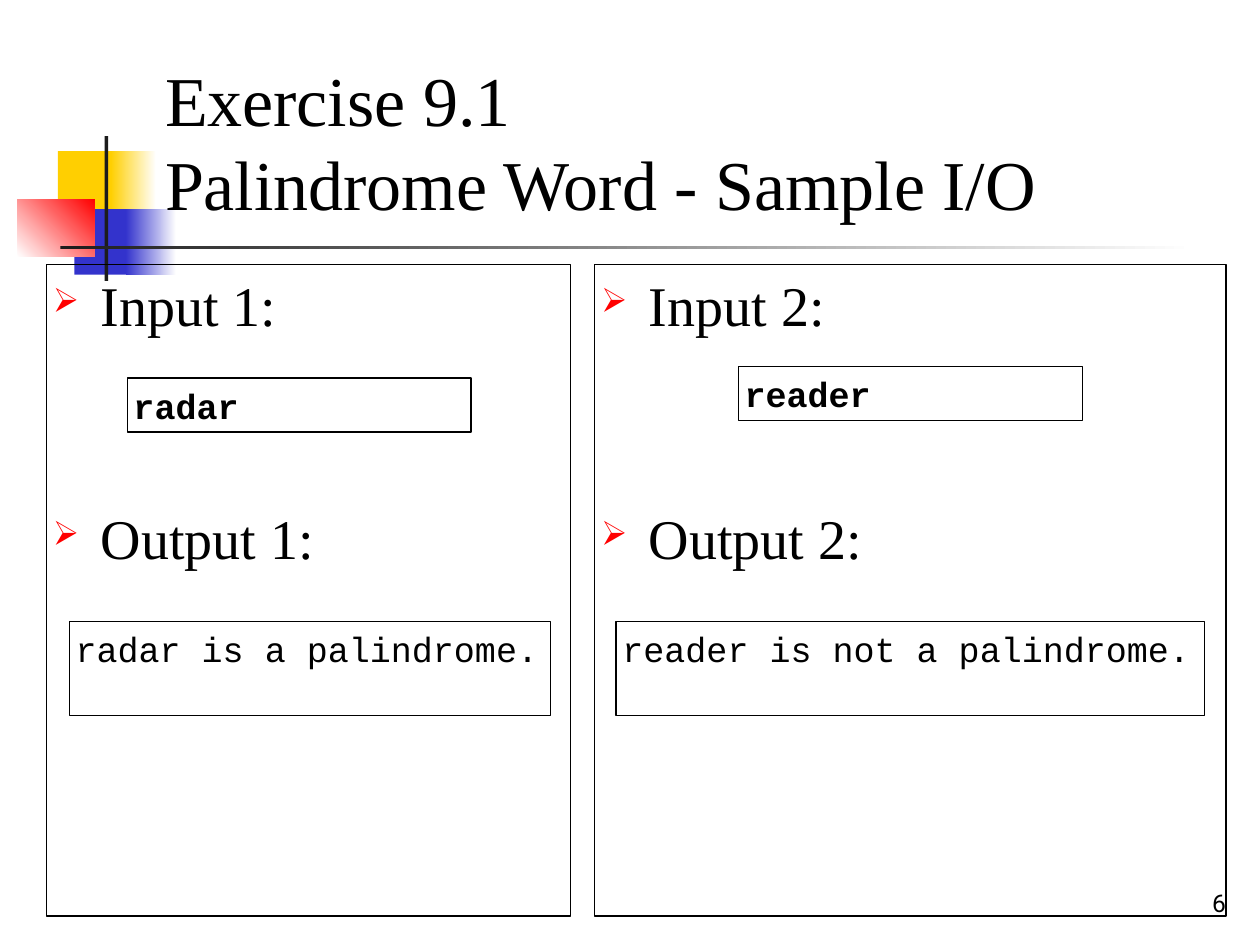
from copy import deepcopy
from dataclasses import dataclass

from lxml.etree import SubElement
from pptx import Presentation
from pptx.dml.color import RGBColor
from pptx.enum.shapes import MSO_SHAPE
from pptx.enum.text import MSO_ANCHOR, MSO_AUTO_SIZE, PP_ALIGN
from pptx.oxml.ns import qn
from pptx.util import Inches, Pt


@dataclass(frozen=True)
class Theme:
    black: str = "000000"
    white: str = "FFFFFF"
    charcoal: str = "1C1C1C"
    yellow: str = "FFCF01"
    blue: str = "3333CC"
    red: str = "FF0000"
    serif: str = "Times New Roman"
    mono: str = "Courier New"
    sans: str = "Roboto"
    title_size: int = 40
    heading_size: int = 32
    code_size: int = 20
    number_size: int = 14


THEME = Theme()


def color(value):
    return RGBColor.from_string(value)


def add_rectangle(page, place):
    box = page.shapes.add_shape(MSO_SHAPE.RECTANGLE, *map(Inches, place))
    box.shadow.inherit = False
    return box


def add_block(page, place, fill):
    box = add_rectangle(page, place)
    box.fill.solid()
    box.fill.fore_color.rgb = color(fill)
    box.line.fill.background()


def add_fade(page, place, start, end, angle=0):
    box = add_rectangle(page, place)
    box.fill.gradient()
    box.fill.gradient_angle = angle
    for stop, value in zip(box.fill.gradient_stops, (start, end)):
        stop.color.rgb = color(value)
    box.line.fill.background()


def add_frame(page, place):
    box = add_rectangle(page, place)
    box.fill.background()
    box.line.color.rgb = color(THEME.black)
    box.line.width = Pt(0.75)
    return box


def set_text(box, text, font, size, bold=False, align=PP_ALIGN.LEFT,
             anchor=MSO_ANCHOR.TOP, wrap=True):
    frame = box.text_frame
    frame.text = text
    frame.word_wrap = wrap
    frame.vertical_anchor = anchor
    frame.margin_left = frame.margin_right = Inches(0.05)
    frame.margin_top = frame.margin_bottom = Inches(0.05)
    for para in frame.paragraphs:
        para.alignment = align
        for span in para.runs:
            span.font.name = font
            span.font.size = Pt(size)
            span.font.bold = bold
            span.font.color.rgb = color(THEME.black)


def add_bullet(para):
    properties = para._p.get_or_add_pPr()
    properties.set("marL", str(Inches(0.38)))
    properties.set("indent", str(-Inches(0.38)))
    bullet_color = SubElement(properties, qn("a:buClr"))
    SubElement(bullet_color, qn("a:srgbClr"), val=THEME.red)
    SubElement(properties, qn("a:buSzPct"), val="60000")
    SubElement(properties, qn("a:buChar"), char="➢")


def add_panel(page, place, number):
    box = add_frame(page, place)
    set_text(box, f"Input {number}:\nOutput {number}:",
             THEME.serif, THEME.heading_size)
    for para, space in zip(box.text_frame.paragraphs, (7, 94.6)):
        para.space_before = Pt(space)
        add_bullet(para)


def add_code(page, place, text, bold=False):
    box = add_frame(page, place)
    set_text(box, text, THEME.mono, THEME.code_size, bold)


def add_ornament(page):
    add_block(page, (0.46, 1.2, 0.48, 0.52), THEME.yellow)
    add_fade(page, (0.88, 1.2, 0.36, 0.52), THEME.yellow, THEME.white)
    add_block(page, (0.59, 1.66, 0.46, 0.52), THEME.blue)
    add_fade(page, (1, 1.66, 0.4, 0.52), THEME.blue, THEME.white)
    add_fade(page, (0.14, 1.58, 0.61, 0.46), THEME.white, THEME.red, 45)
    add_block(page, (0.83, 1.08, 0.03, 1.15), THEME.charcoal)
    add_fade(page, (0.48, 1.95, 9, 0.03), THEME.charcoal, THEME.white)


def add_title(page, text):
    title = page.shapes.title
    title.left, title.top, title.width, title.height = map(
        Inches, (1.26, 0.23, 8.52, 1.6))
    set_text(title, text, THEME.serif, THEME.title_size,
             anchor=MSO_ANCHOR.BOTTOM)
    para = title.text_frame.paragraphs[0]
    for line_break in para._p.findall(qn("a:br")):
        line_break.append(deepcopy(para.runs[0]._r.rPr))
    title._element.getparent().append(title._element)


def add_page_number(page, number):
    box = page.shapes.add_textbox(*map(Inches, (9.56, 6.99, 0.22, 0.34)))
    set_text(box, str(number), THEME.sans, THEME.number_size,
             align=PP_ALIGN.RIGHT, anchor=MSO_ANCHOR.BOTTOM, wrap=False)
    box.text_frame.auto_size = MSO_AUTO_SIZE.SHAPE_TO_FIT_TEXT


def main():
    deck = Presentation()
    deck.slide_width, deck.slide_height = Inches(10), Inches(7.5)
    page = deck.slides.add_slide(deck.slide_layouts[5])
    add_ornament(page)
    add_panel(page, (0.37, 2.1, 4.16, 5.17), 1)
    add_title(page, "Exercise 9.1 \vPalindrome Word - Sample I/O")
    add_page_number(page, 6)
    add_code(page, (1.01, 3, 2.73, 0.43), "radar", bold=True)
    add_code(page, (0.55, 4.93, 3.82, 0.75), "radar is a palindrome.")
    add_panel(page, (4.72, 2.1, 5.01, 5.17), 2)
    add_code(page, (4.89, 4.93, 4.67, 0.75), "reader is not a palindrome.")
    add_code(page, (5.86, 2.91, 2.73, 0.43), "reader", bold=True)
    deck.save("out.pptx")


main()
